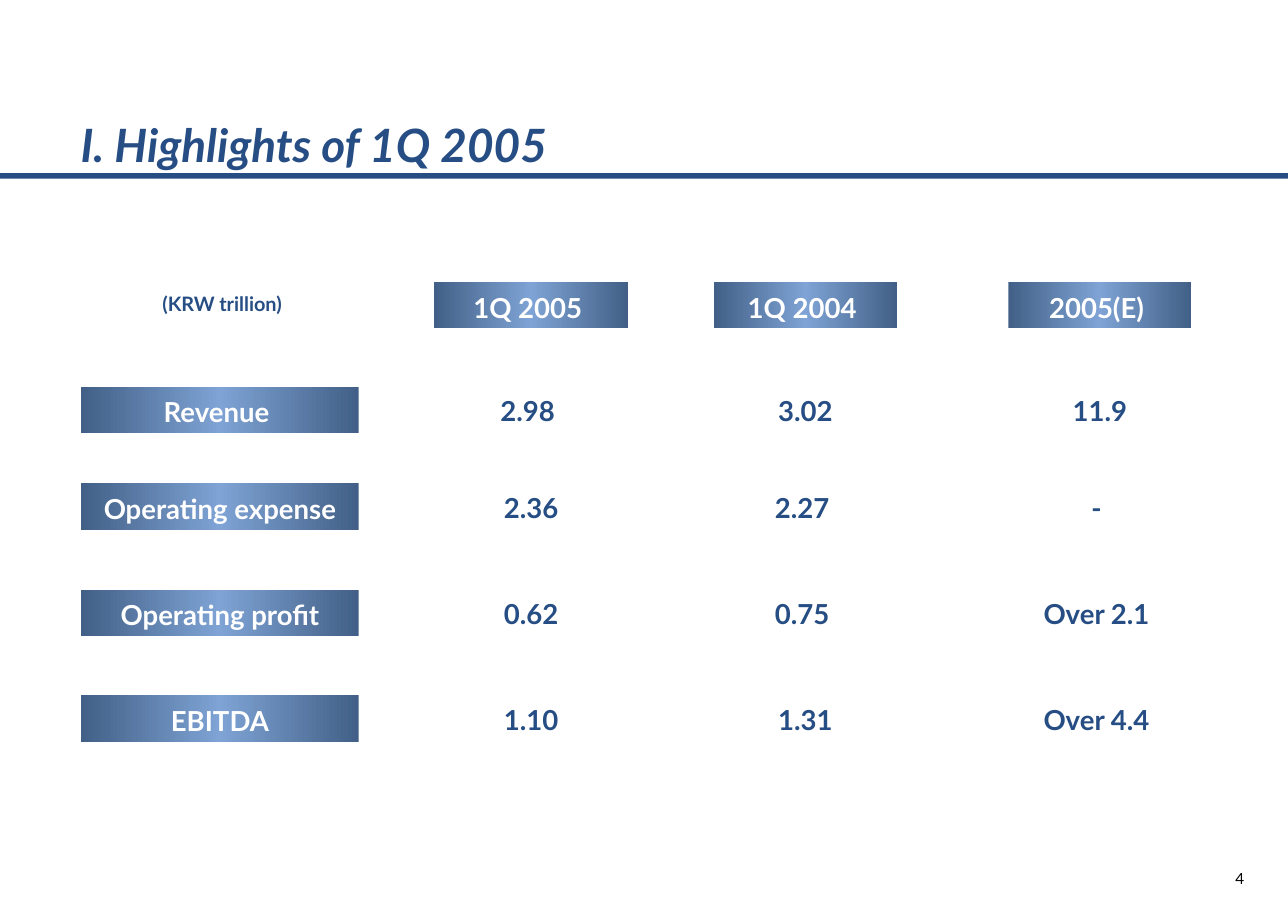
from copy import deepcopy

from pptx import Presentation
from pptx.dml.color import RGBColor
from pptx.enum.shapes import MSO_SHAPE
from pptx.enum.text import MSO_ANCHOR, PP_ALIGN
from pptx.util import Pt

NAVY = RGBColor(0x26, 0x4E, 0x84)
STEEL = RGBColor(0x42, 0x60, 0x87)
SKY = RGBColor(0x7E, 0xA3, 0xD4)
WHITE = RGBColor(0xFF, 0xFF, 0xFF)
BLACK = RGBColor(0, 0, 0)

HEADING = "I. Highlights of 1Q 2005"
UNIT = "(KRW trillion)"
PAGE_NUMBER = "4"
PERIODS = ["1Q 2005 ", "1Q 2004 ", "2005(E) "]
RESULTS = [
    ("Revenue ", ["2.98 ", "3.02", "11.9"]),
    ("Operating expense", ["2.36", "2.27 ", "- "]),
    ("Operating profit", ["0.62", "0.75 ", "Over 2.1 "]),
    ("EBITDA", ["1.10", "1.31", "Over 4.4 "]),
]

SLIDE_WIDTH, SLIDE_HEIGHT = 841.68, 595.44
LABEL_COLUMN = (53, 181.4)
PERIOD_COLUMNS = [(283.7, 126.7), (466.6, 119.5), (659, 119.5)]
PERIOD_TOP = 184.4
RESULT_TOPS = [252.8, 316, 385.6, 454.4]
ROW_HEIGHT = 30.3

HEADING_FONT = {"size": Pt(30), "bold": True, "italic": True}
ENTRY_FONT = {"size": Pt(18), "bold": True}
UNIT_FONT = {"size": Pt(13), "bold": True}
PAGE_FONT = {"size": Pt(10), "bold": False}

HEADING_FRAME = {"word_wrap": True, "vertical_anchor": MSO_ANCHOR.BOTTOM}
BANNER_FRAME = {"word_wrap": False, "vertical_anchor": MSO_ANCHOR.MIDDLE}
FIGURE_FRAME = {"word_wrap": True, "vertical_anchor": MSO_ANCHOR.MIDDLE}
UNIT_FRAME = {"word_wrap": True, "vertical_anchor": MSO_ANCHOR.TOP}
PAGE_FRAME = {"word_wrap": False, "vertical_anchor": MSO_ANCHOR.TOP}


def apply(target, values):
    for name, value in values.items():
        setattr(target, name, value)


def write(holder, text, font, color, frame, spacing, insets, align=PP_ALIGN.CENTER):
    across, down = map(Pt, insets)
    margins = {"margin_left": across, "margin_right": across,
               "margin_top": down, "margin_bottom": down}
    holder.text_frame.text = text
    apply(holder.text_frame, frame | margins)
    paragraph = holder.text_frame.paragraphs[0]
    apply(paragraph, {"alignment": align, "line_spacing": spacing})
    apply(paragraph.runs[0].font, font | {"name": "Lato"})
    paragraph.runs[0].font.color.rgb = color


def add_bar(slide, left, top, width, height):
    bar = slide.shapes.add_shape(
        MSO_SHAPE.RECTANGLE, Pt(left), Pt(top), Pt(width), Pt(height))
    bar.shadow.inherit = False
    bar.line.fill.background()
    return bar


def add_banner(slide, text, column, top):
    left, width = column
    banner = add_bar(slide, left, top, width, ROW_HEIGHT)
    banner.fill.gradient()
    banner.fill.gradient_angle = 0
    first = banner.element.xpath(".//a:gs")[0]
    first.addnext(deepcopy(first))
    shades = [(0, STEEL), (0.5, SKY), (1, STEEL)]
    for stop, (position, shade) in zip(banner.fill.gradient_stops, shades):
        stop.position = position
        stop.color.rgb = shade
    write(banner, text, ENTRY_FONT, WHITE, BANNER_FRAME, Pt(24), (7.2, 3.6))


def add_text(slide, text, box, font, color, frame, spacing, insets):
    holder = slide.shapes.add_textbox(*map(Pt, box))
    write(holder, text, font, color, frame, spacing, insets)


def main():
    deck = Presentation()
    apply(deck, {"slide_width": Pt(SLIDE_WIDTH), "slide_height": Pt(SLIDE_HEIGHT)})
    slide = deck.slides.add_slide(deck.slide_layouts[5])

    heading = slide.shapes.title
    apply(heading, {"left": Pt(52.6), "top": Pt(80.6),
                    "width": Pt(666.7), "height": Pt(31.7)})
    write(heading, HEADING, HEADING_FONT, NAVY, HEADING_FRAME,
          Pt(31.9), (0, 0), PP_ALIGN.LEFT)

    rule = add_bar(slide, 0, 113.2, SLIDE_WIDTH, 3.6)
    rule.fill.solid()
    rule.fill.fore_color.rgb = NAVY

    add_text(slide, UNIT, (49.7, 187.2, 190.8, 23.8), UNIT_FONT, NAVY,
             UNIT_FRAME, 1.0, (7.9, 3.6))
    for period, column in zip(PERIODS, PERIOD_COLUMNS):
        add_banner(slide, period, column, PERIOD_TOP)

    for (label, figures), top in zip(RESULTS, RESULT_TOPS):
        add_banner(slide, label, LABEL_COLUMN, top)
        for figure, (left, width) in zip(figures, PERIOD_COLUMNS):
            add_text(slide, figure, (left, top, width, ROW_HEIGHT), ENTRY_FONT,
                     NAVY, FIGURE_FRAME, 1.05, (3.6, 3.6))

    add_text(slide, PAGE_NUMBER, (782.6, 563.8, 55.4, 22.3), PAGE_FONT, BLACK,
             PAGE_FRAME, 1.05, (3.6, 3.6))
    deck.save("out.pptx")


if __name__ == "__main__":
    main()
